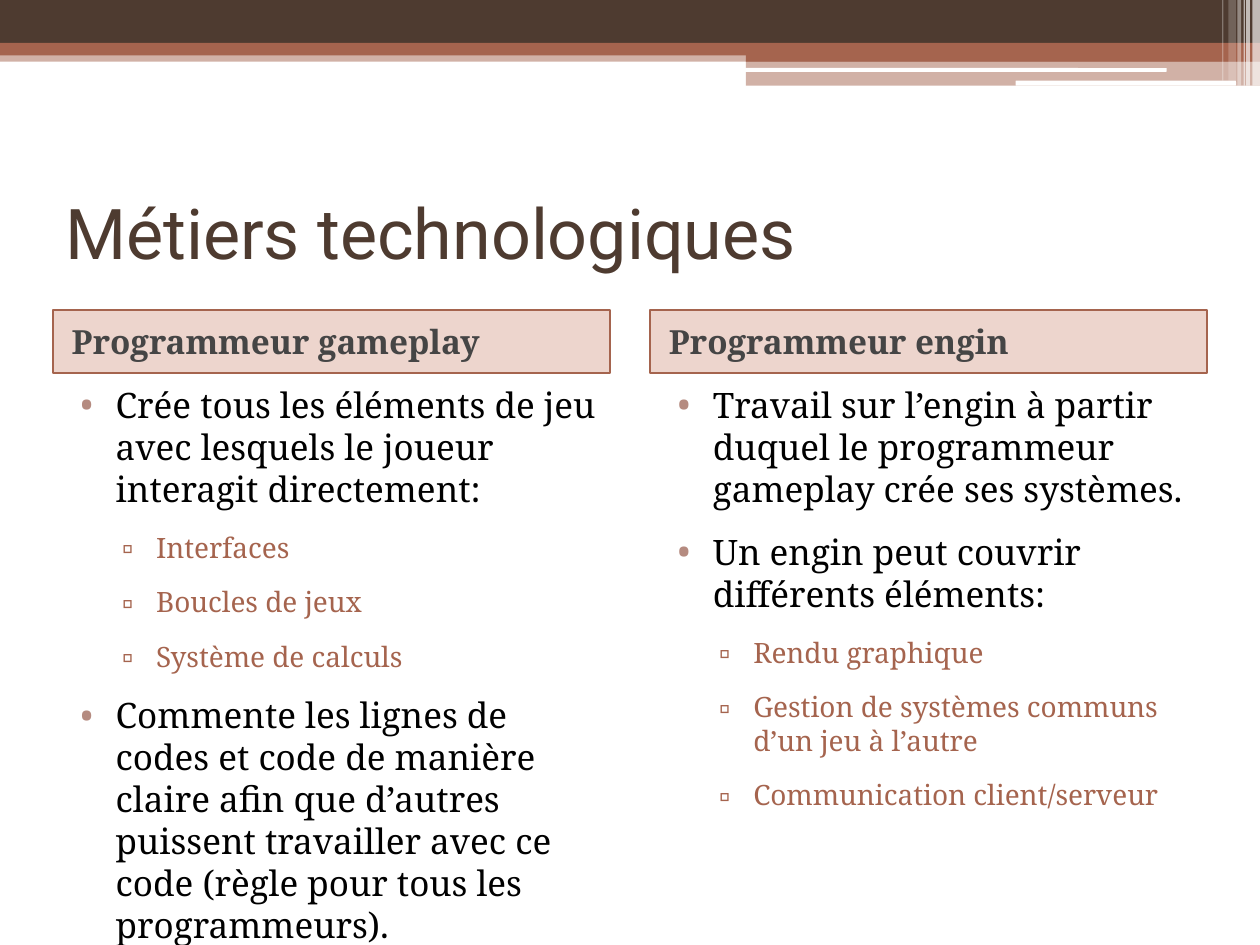
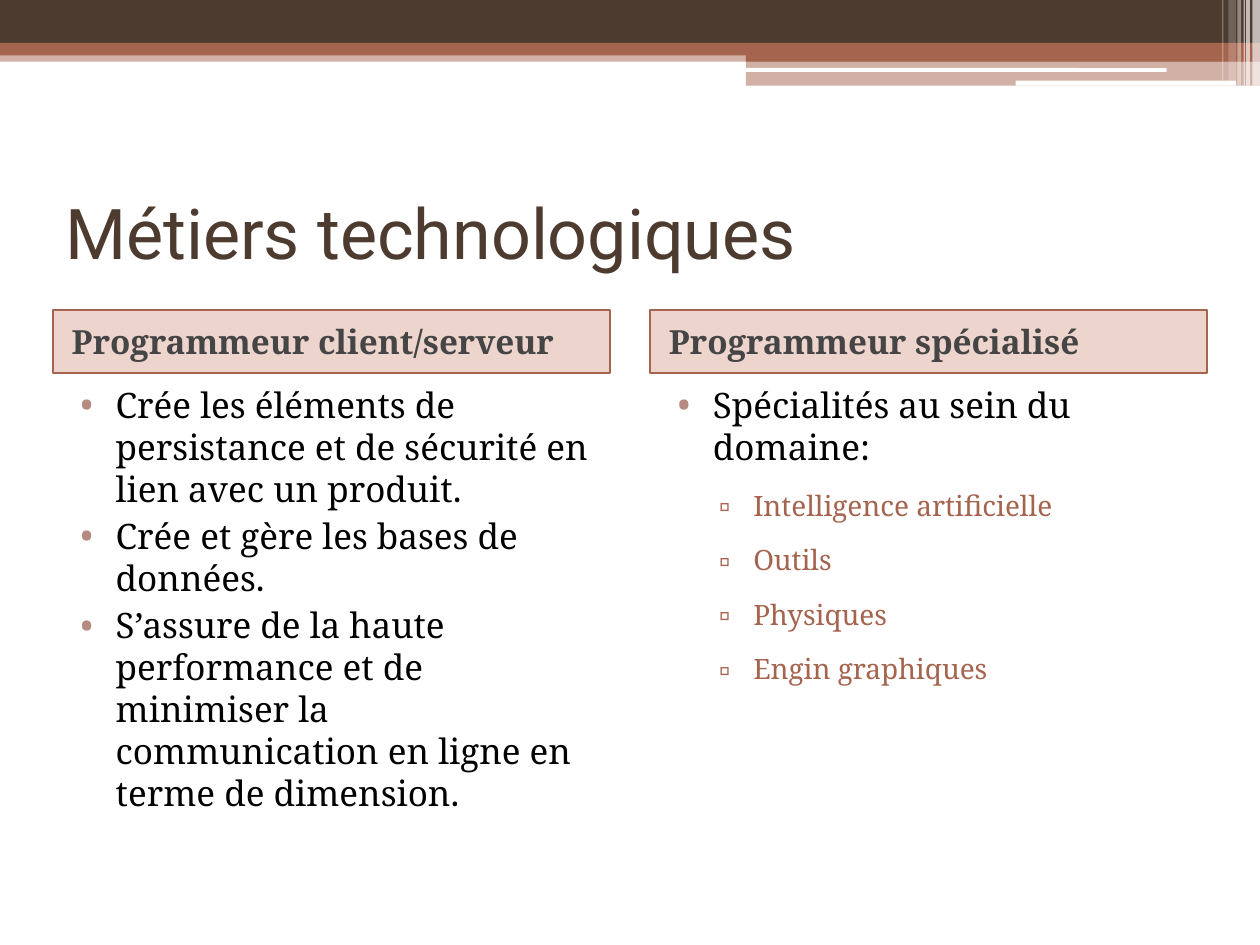
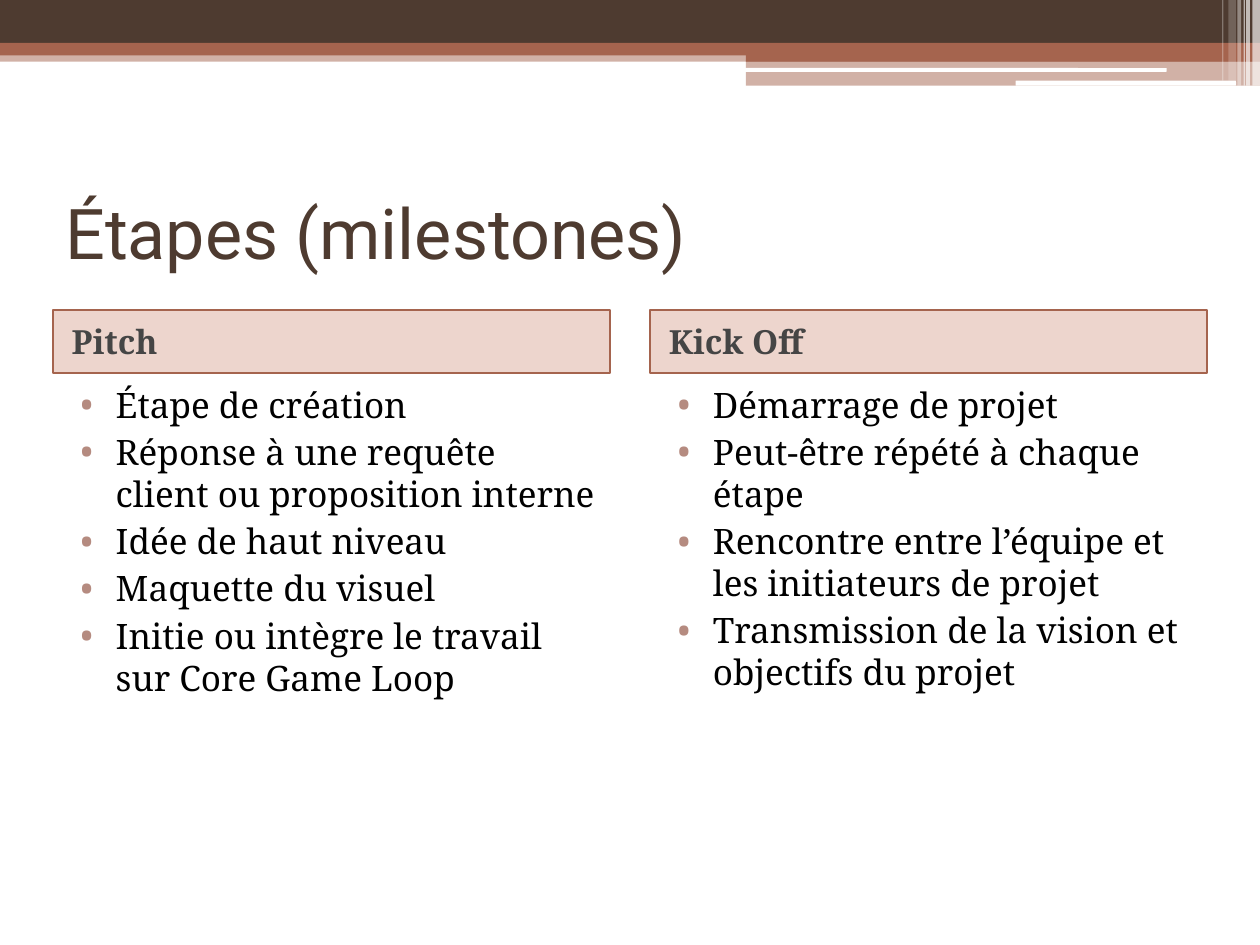
from pptx import Presentation
from pptx.dml.color import RGBColor
from pptx.enum.shapes import MSO_SHAPE as Shape
from pptx.enum.text import MSO_ANCHOR as Anchor
from pptx.oxml.ns import qn
from pptx.util import Inches, Pt
from lxml.etree import SubElement

BROWN, RUST, WHITE = "4E3B30", "A5644E", "FFFFFF"
HEADING_FILL, HEADING_INK = "BB5938", "454545"
TITLE_FONT, BODY_FONT = "Roboto", "Noto Serif"

# Bullet levels: left indent, hanging indent, sign, sign colour, size, ink
LEVELS = [
    (0.4, -0.28, "•", "B58B80", 20, "000000"),
    (0.72, -0.27, "▫", RUST, 16, RUST),
]

# Page grid
LEFT, COLUMN_WIDTH, COLUMN_STEP = 0.42, 4.42, 4.74
TITLE_BOX = (LEFT, 1.25, 9.17, 1.17)
COLUMN_TOP, COLUMN_HEIGHT, HEADING_HEIGHT = 2.46, 4.75, 0.5

# Top band, from back to front: box, colour, opacity in percent
BANDS = [
    ((0, 0.4, 10, 0.09), RUST, 50),
    ((0, 0, 10, 0.34), BROWN, 100),
    ((0, 0.34, 10, 0.1), RUST, 100),
    ((5.92, 0.39, 4.08, 0.1), RUST, 100),
    ((5.92, 0.48, 4.08, 0.2), RUST, 50),
]
WHITE_RULES = [(5.91, 0.54, 3.35, 0.03), (8.06, 0.64, 1.75, 0.04)]
# Vertical stripes: left, width, height, opacity in percent
STRIPES = [
    (9.94, 0.06, 0.68, 65), (9.89, 0.03, 0.68, 65), (9.87, 0.01, 0.68, 60),
    (9.82, 0.03, 0.68, 40), (9.75, 0.06, 0.64, 20), (9.7, 0.01, 0.64, 30),
]


def rgb(value):
    return RGBColor.from_string(value)


def add_block(slide, box, color, opacity=100, outline=None, kind=Shape.RECTANGLE):
    block = slide.shapes.add_shape(kind, *map(Inches, box))
    block.shadow.inherit = False
    block.fill.solid()
    block.fill.fore_color.rgb = rgb(color)
    if opacity < 100:
        tint = block.fill._xPr.find(qn("a:solidFill"))[0]
        SubElement(tint, qn("a:alpha"), val=str(opacity * 1000))
    if outline:
        block.line.color.rgb = rgb(outline)
        block.line.width = Pt(1)
    else:
        block.line.fill.background()
    return block


def add_text_box(slide, box):
    return slide.shapes.add_textbox(*map(Inches, box))


def set_frame(holder, anchor=Anchor.TOP, top=0.05):
    frame = holder.text_frame
    frame.word_wrap = True
    frame.vertical_anchor = anchor
    frame.margin_left = frame.margin_right = Inches(0.1)
    frame.margin_top, frame.margin_bottom = Inches(top), Inches(0.05)
    return frame


def write(frame, text, *, size, color, font=BODY_FONT, bold=False, before=0,
          indent=0, hanging=0, bullet=None, bullet_color=None, leading=None,
          level=0):
    """Fill the first paragraph of the frame, or add one after the last."""
    paragraph = frame.paragraphs[0]
    if paragraph.runs:
        paragraph = frame.add_paragraph()
    paragraph.level = level
    paragraph.space_before = Pt(before)
    if leading:
        paragraph.line_spacing = Pt(leading)
    run = paragraph.add_run()
    run.text = text
    run.font.name, run.font.size, run.font.bold = font, Pt(size), bold
    run.font.color.rgb = rgb(color)
    props = paragraph._p.get_or_add_pPr()
    props.set("algn", "l")
    props.set("marL", str(Inches(indent)))
    props.set("indent", str(Inches(hanging)))
    if bullet:
        tint = SubElement(props, qn("a:buClr"))
        SubElement(tint, qn("a:srgbClr"), val=bullet_color)
        SubElement(props, qn("a:buFont"), typeface=font)
        SubElement(props, qn("a:buChar"), char=bullet)


def add_top_band(slide):
    for box, color, opacity in BANDS:
        add_block(slide, box, color, opacity)
    for box in WHITE_RULES:
        add_block(slide, box, WHITE, kind=Shape.ROUNDED_RECTANGLE)
    for left, width, height, opacity in STRIPES:
        add_block(slide, (left, 0, width, height), WHITE, opacity)


def add_title(slide, box, title):
    frame = set_frame(add_text_box(slide, box), Anchor.MIDDLE)
    write(frame, title, size=40, color=BROWN, font=TITLE_FONT)


def add_heading(slide, box, heading):
    bar = add_block(slide, box, HEADING_FILL, 25, outline=RUST)
    write(set_frame(bar, Anchor.MIDDLE), heading, size=19, color=HEADING_INK,
          bold=True, before=3, indent=0.05)


def add_bullets(slide, box, points, gap):
    frame = set_frame(add_text_box(slide, box), top=0.08)
    for level, text in points:
        indent, hanging, sign, sign_color, size, ink = LEVELS[level]
        write(frame, text, size=size, color=ink, before=gap, indent=indent,
              hanging=hanging, bullet=sign, bullet_color=sign_color,
              leading=1.2 * size, level=level)


def add_column(slide, box, heading, gap, points):
    left, top, width, height = box
    add_heading(slide, (left, top, width, HEADING_HEIGHT), heading)
    add_bullets(slide, (left, top + HEADING_HEIGHT, width, height - HEADING_HEIGHT),
                points, gap)


def add_comparison(deck, title, columns):
    slide = deck.slides.add_slide(deck.slide_layouts[6])
    slide.background.fill.solid()
    slide.background.fill.fore_color.rgb = rgb(WHITE)
    add_top_band(slide)
    add_title(slide, TITLE_BOX, title)
    for index, column in enumerate(columns):
        box = (LEFT + index * COLUMN_STEP, COLUMN_TOP, COLUMN_WIDTH, COLUMN_HEIGHT)
        add_column(slide, box, *column)


# Each column: heading, gap before a point, points as (level, text)
COMPARISONS = [
    ("Métiers technologiques", [
        ("Programmeur gameplay", 12, [
            (0, "Crée tous les éléments de jeu avec lesquels le joueur "
                "interagit directement:"),
            (1, "Interfaces"),
            (1, "Boucles de jeux"),
            (1, "Système de calculs"),
            (0, "Commente les lignes de codes et code de manière claire afin "
                "que d’autres puissent travailler avec ce code (règle pour "
                "tous les programmeurs)."),
        ]),
        ("Programmeur engin", 12, [
            (0, "Travail sur l’engin à partir duquel le programmeur gameplay "
                "crée ses systèmes."),
            (0, "Un engin peut couvrir différents éléments:"),
            (1, "Rendu graphique"),
            (1, "Gestion de systèmes communs d’un jeu à l’autre"),
            (1, "Communication client/serveur"),
        ]),
    ]),
    ("Métiers technologiques", [
        ("Programmeur client/serveur", 3, [
            (0, "Crée les éléments de persistance et de sécurité en lien avec "
                "un produit."),
            (0, "Crée et gère les bases de données."),
            (0, "S’assure de la haute performance et de minimiser la "
                "communication en ligne en terme de dimension."),
        ]),
        ("Programmeur spécialisé", 12, [
            (0, "Spécialités au sein du domaine:"),
            (1, "Intelligence artificielle"),
            (1, "Outils"),
            (1, "Physiques"),
            (1, "Engin graphiques"),
        ]),
    ]),
    ("Étapes (milestones)", [
        ("Pitch", 3, [
            (0, "Étape de création"),
            (0, "Réponse à une requête client ou proposition interne"),
            (0, "Idée de haut niveau"),
            (0, "Maquette du visuel"),
            (0, "Initie ou intègre le travail sur Core Game Loop"),
        ]),
        ("Kick Off", 3, [
            (0, "Démarrage de projet"),
            (0, "Peut-être répété à chaque étape"),
            (0, "Rencontre entre l’équipe et les initiateurs de projet"),
            (0, "Transmission de la vision et objectifs du projet"),
        ]),
    ]),
]

deck = Presentation()
deck.slide_width, deck.slide_height = Inches(10), Inches(7.5)
for title, columns in COMPARISONS:
    add_comparison(deck, title, columns)
deck.save("out.pptx")
